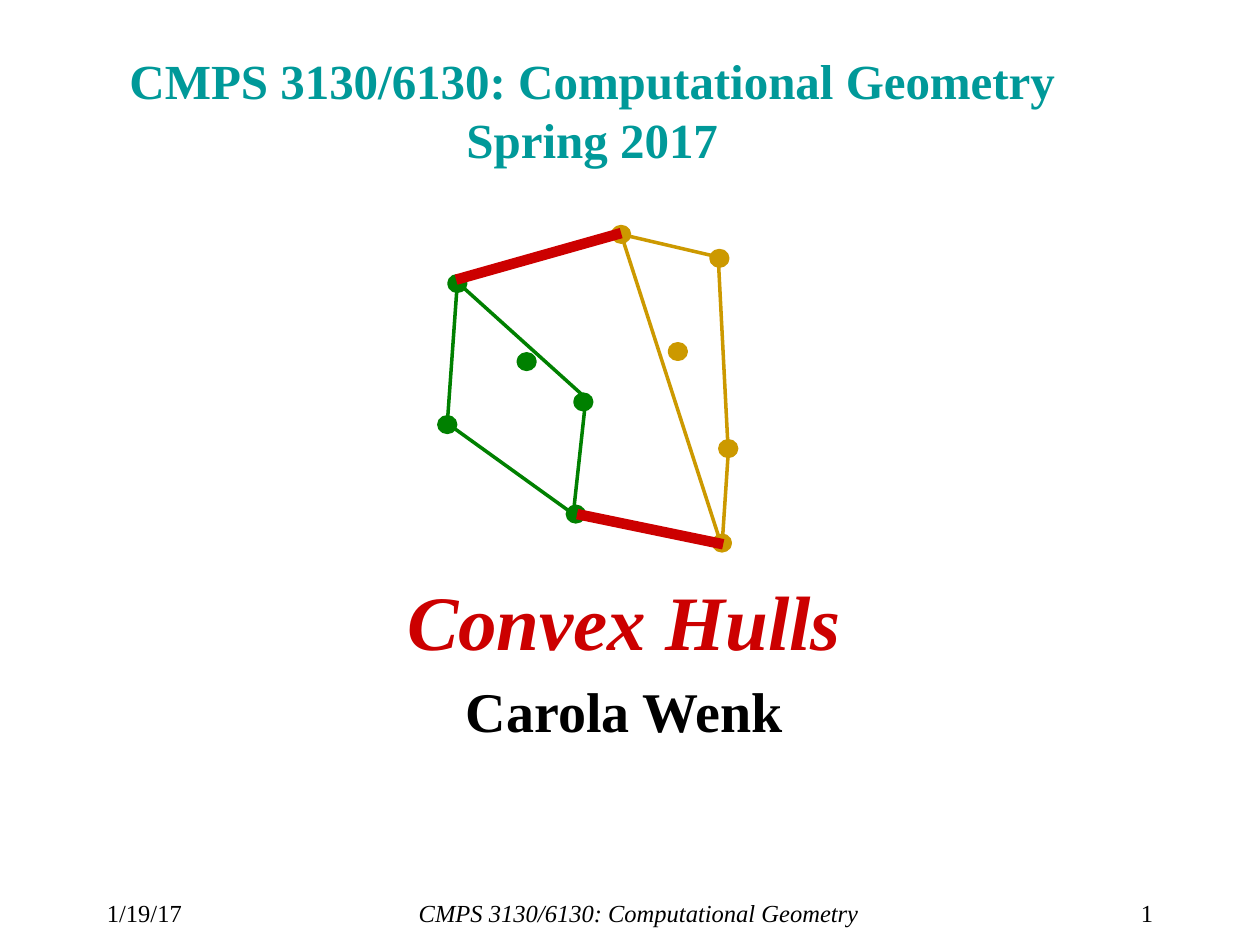
from typing import NamedTuple

from lxml import etree
from pptx import Presentation
from pptx.dml.color import RGBColor
from pptx.enum.shapes import MSO_CONNECTOR, MSO_SHAPE
from pptx.enum.text import MSO_ANCHOR, PP_ALIGN
from pptx.oxml.ns import qn
from pptx.util import Inches, Pt

LEFT, CENTER, RIGHT = PP_ALIGN.LEFT, PP_ALIGN.CENTER, PP_ALIGN.RIGHT
MIDDLE, TOP = MSO_ANCHOR.MIDDLE, MSO_ANCHOR.TOP
OVAL, STRAIGHT = MSO_SHAPE.OVAL, MSO_CONNECTOR.STRAIGHT

FONT = "Times New Roman"
COLORS = {"title": "009999", "red": "CC0000", "text": "000000",
          "green": "008000", "gold": "CC9900"}
WIDTH, HEIGHT = Inches(10), Inches(7.5)
COLS, ROWS = 100, 75
DOT_COLS, DOT_ROWS = 1.3, 1.2


class Point(NamedTuple):
    col: float
    row: float


class Box(NamedTuple):
    col: float
    row: float
    cols: float
    rows: float


class Line(NamedTuple):
    text: str
    size: int
    color: str = "text"
    bold: bool = False
    italic: bool = False


class Label(NamedTuple):
    box: Box
    align: int
    lines: list[Line]


class Hull(NamedTuple):
    color: str
    dots: list[Point]
    corners: list[Point]


TITLE = Label(Box(2.4, 3.3, 89.2, 10.8), CENTER, [
    Line("CMPS 3130/6130: Computational Geometry\vSpring 2017", 28, "title", True)])

LABELS = [
    Label(Box(7.5, 70.8, 9.5, 2.5), LEFT, [Line("1/19/17", 14)]),
    Label(Box(19, 70.8, 63.4, 2.5), CENTER,
          [Line("CMPS 3130/6130: Computational Geometry", 14, italic=True)]),
    Label(Box(84.3, 70.8, 8.2, 2.5), RIGHT, [Line("1", 14)]),
    Label(Box(3.3, 45, 92.5, 16.7), CENTER, [
        Line("Convex Hulls", 44, "red", True, True),
        Line("Carola Wenk", 32, bold=True)]),
]

HULLS = [
    Hull("green",
         [Point(36.3, 22.5), Point(35.5, 33.7), Point(45.7, 40.8),
          Point(46.3, 31.9), Point(41.8, 28.7)],
         [Point(36.3, 22.4), Point(35.5, 33.6), Point(45.5, 40.8),
          Point(46.5, 31.6)]),
    Hull("gold",
         [Point(49.3, 18.6), Point(57.1, 20.5), Point(57.8, 35.6),
          Point(57.3, 43.1), Point(53.8, 27.9)],
         [Point(49.3, 18.6), Point(57.3, 43.4), Point(57.8, 35.9),
          Point(57, 20.4)]),
]

TANGENTS = [(Point(36.2, 22.2), Point(49.3, 18.5)),
            (Point(45.8, 40.8), Point(57.4, 43.2))]


def rgb(name: str) -> RGBColor:
    return RGBColor.from_string(COLORS[name])


def x(cols: float) -> int:
    return round(WIDTH * cols / COLS)


def y(rows: float) -> int:
    return round(HEIGHT * rows / ROWS)


def place(box: Box) -> tuple[int, int, int, int]:
    return x(box.col), y(box.row), x(box.cols), y(box.rows)


def write(sp, label: Label, anchor=TOP) -> None:
    tf = sp.text_frame
    tf.word_wrap = True
    tf.vertical_anchor = anchor
    for i, line in enumerate(label.lines):
        p = tf.add_paragraph() if i else tf.paragraphs[0]
        p.text = line.text
        p.alignment = label.align
        p.space_before = Pt(0.2 * line.size if i else 0)
        for r in p.runs:
            r.font.name = FONT
            r.font.size = Pt(line.size)
            r.font.bold = line.bold
            r.font.italic = line.italic
            r.font.color.rgb = rgb(line.color)


def add_dot(s, center: Point, color: str) -> None:
    box = Box(center.col - DOT_COLS / 2, center.row - DOT_ROWS / 2, DOT_COLS, DOT_ROWS)
    sp = s.shapes.add_shape(OVAL, *place(box))
    sp.shadow.inherit = False
    sp.fill.solid()
    sp.fill.fore_color.rgb = rgb(color)
    sp.line.color.rgb = rgb(color)
    sp.line.width = Pt(2.25)


def add_edge(s, start: Point, end: Point, color: str, width: float) -> None:
    cx = s.shapes.add_connector(STRAIGHT, x(start.col), y(start.row),
                                x(end.col), y(end.row))
    cx.line.color.rgb = rgb(color)
    cx.line.width = Pt(width)
    etree.SubElement(cx._element.spPr, qn("a:effectLst"))


def main() -> None:
    prs = Presentation()
    prs.slide_width, prs.slide_height = WIDTH, HEIGHT
    s = prs.slides.add_slide(prs.slide_layouts[5])

    title = s.shapes.title
    title.left, title.top, title.width, title.height = place(TITLE.box)
    write(title, TITLE, MIDDLE)
    for label in LABELS:
        write(s.shapes.add_textbox(*place(label.box)), label)

    for hull in HULLS:
        for dot in hull.dots:
            add_dot(s, dot, hull.color)
    for hull in HULLS:
        for start, end in zip(hull.corners, hull.corners[1:] + hull.corners[:1]):
            add_edge(s, start, end, hull.color, 2)
    for start, end in TANGENTS:
        add_edge(s, start, end, "red", 6)

    prs.save("out.pptx")


if __name__ == "__main__":
    main()
